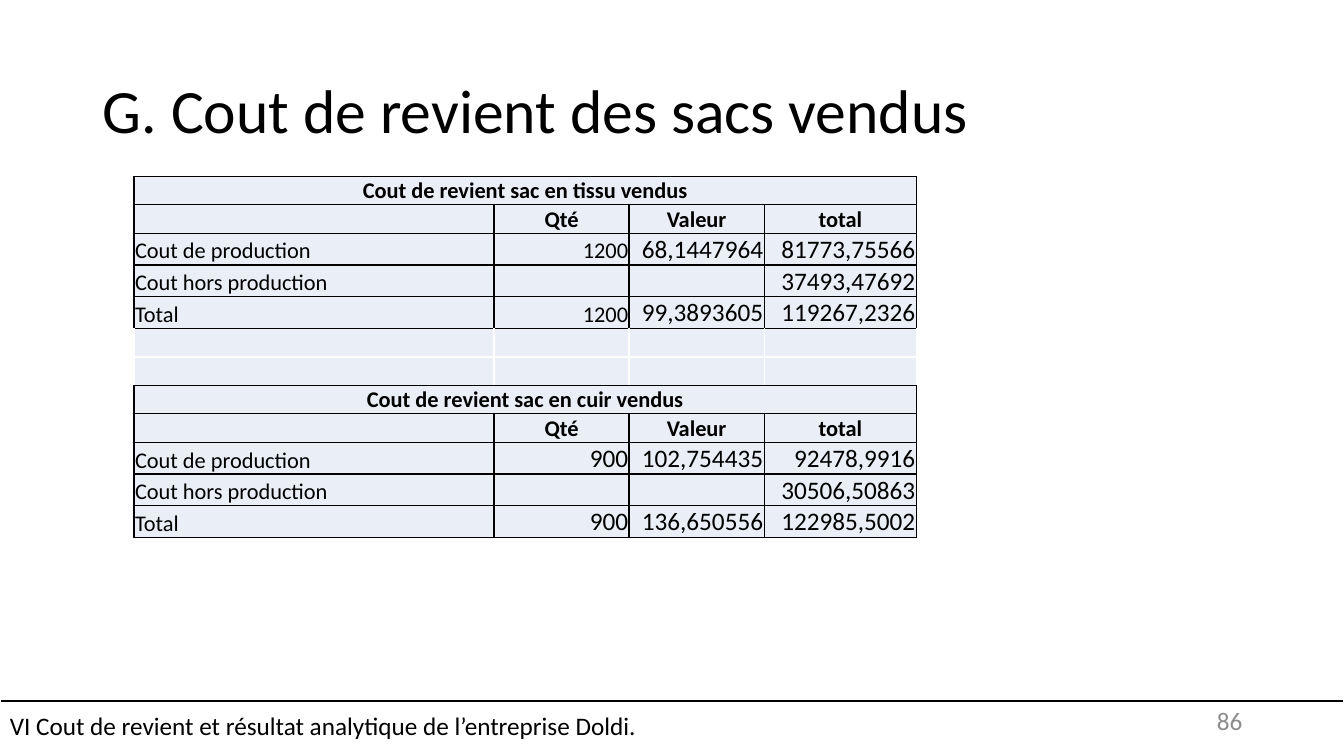
from dataclasses import dataclass

from lxml import etree
from pptx import Presentation
from pptx.dml.color import RGBColor
from pptx.enum.shapes import MSO_CONNECTOR, MSO_SHAPE
from pptx.enum.text import MSO_ANCHOR, MSO_AUTO_SIZE, PP_ALIGN
from pptx.oxml.ns import qn
from pptx.util import Inches, Pt

LEFT, CENTER, RIGHT = PP_ALIGN.LEFT, PP_ALIGN.CENTER, PP_ALIGN.RIGHT
MIDDLE, BOTTOM = MSO_ANCHOR.MIDDLE, MSO_ANCHOR.BOTTOM

# Content
TITLE = "G. Cout de revient des sacs vendus"
FOOTER = "VI Cout de revient et résultat analytique de l’entreprise Doldi."
PAGE = "86"
HEADINGS = ["", "Qté", "Valeur", "total"]
FABRIC = {
    "caption": "Cout de revient sac en tissu vendus",
    "quantity_size": 16,
    "rows": [
        ["Cout de production", "1200", "68,1447964", "81773,75566"],
        ["Cout hors production", "", "", "37493,47692"],
        ["Total", "1200", "99,3893605", "119267,2326"],
    ],
}
LEATHER = {
    "caption": "Cout de revient sac en cuir vendus",
    "quantity_size": 18,
    "rows": [
        ["Cout de production", "900", "102,754435", "92478,9916"],
        ["Cout hors production", "", "", "30506,50863"],
        ["Total", "900", "136,650556", "122985,5002"],
    ],
}
COLUMN_WIDTHS = [3.57, 1.34, 1.34, 1.51]
ROW_HEIGHT = 0.27
SPACER_ROWS = 2
BLOCK_ROWS = 2 + len(FABRIC["rows"])
ROW_COUNT = 2 * BLOCK_ROWS + SPACER_ROWS


@dataclass(frozen=True)
class Theme:
    font: str = "Calibri"
    ink: str = "000000"
    paper: str = "FFFFFF"
    cell: str = "EAEFF7"
    muted: str = "8C8C8C"
    title: int = 44
    label: int = 16
    figure: int = 18


THEME = Theme()


def write(frame, text, size=THEME.figure, color=THEME.ink, bold=False,
          align=LEFT, anchor=MIDDLE, spacing=None):
    frame.word_wrap = True
    frame.vertical_anchor = anchor
    paragraph = frame.paragraphs[0]
    paragraph.alignment = align
    if spacing:
        paragraph.line_spacing = spacing
    if not text:
        # The end mark sets the height of an empty line
        etree.SubElement(paragraph._p, qn("a:endParaRPr"), sz=str(size * 100))
        return
    run = paragraph.add_run()
    run.text = text
    run.font.name, run.font.size, run.font.bold = THEME.font, Pt(size), bold
    run.font.color.rgb = RGBColor.from_string(color)


def set_borders(cell, colors):
    properties = cell._tc.get_or_add_tcPr()
    for side in "LRTB":
        line = etree.SubElement(properties, qn(f"a:ln{side}"), w=str(Pt(1)))
        fill = etree.SubElement(line, qn("a:solidFill"))
        etree.SubElement(fill, qn("a:srgbClr"), val=colors[side])


def fill_cell(cell, text, borders, **style):
    cell.margin_left = cell.margin_right = cell.margin_top = Inches(0.01)
    cell.margin_bottom = 0
    set_borders(cell, borders)
    cell.fill.solid()
    cell.fill.fore_color.rgb = RGBColor.from_string(THEME.cell)
    write(cell.text_frame, text, anchor=BOTTOM, **style)
    cell.vertical_anchor = BOTTOM


def fill_block(table, top, block):
    borders = dict.fromkeys("LRTB", THEME.ink)
    grid = [[block["caption"], "", "", ""], HEADINGS, *block["rows"]]
    sizes = [THEME.label, block["quantity_size"], THEME.figure, THEME.figure]
    for r, row in enumerate(grid):
        for c, text in enumerate(row):
            heading = r < 2
            size = sizes[c] if text and not heading else THEME.label
            align = CENTER if heading else RIGHT if c else LEFT
            fill_cell(table.cell(top + r, c), text, borders,
                      size=size, bold=heading, align=align)
    table.cell(top, 0).merge(table.cell(top, len(HEADINGS) - 1))


def fill_spacers(table, top):
    for r in range(SPACER_ROWS):
        borders = dict.fromkeys("LRTB", THEME.paper)
        if r == 0:
            borders["T"] = THEME.ink
        if r == SPACER_ROWS - 1:
            borders["B"] = THEME.ink
        for c in range(len(HEADINGS)):
            fill_cell(table.cell(top + r, c), "", borders, size=THEME.label)


def main():
    deck = Presentation()
    deck.slide_width, deck.slide_height = Inches(13.33), Inches(7.5)
    slide = deck.slides.add_slide(deck.slide_layouts[5])
    shapes = slide.shapes

    # Footer rule
    rule = shapes.add_connector(MSO_CONNECTOR.STRAIGHT, 0, Inches(6.95),
                                Inches(13.33), Inches(6.95))
    rule.line.color.rgb = RGBColor.from_string(THEME.ink)
    rule.line.width = Pt(1.5)
    etree.SubElement(rule._element.spPr, qn("a:effectLst"))

    # Title
    title = shapes.title
    title.left, title.top = Inches(0.92), Inches(0.4)
    title.width, title.height = Inches(11.5), Inches(1.45)
    title.text_frame.auto_size = MSO_AUTO_SIZE.NONE
    write(title.text_frame, TITLE, size=THEME.title, spacing=0.9)

    # Cost table
    table = shapes.add_table(
        ROW_COUNT, len(HEADINGS), Inches(1.33), Inches(1.75),
        Inches(sum(COLUMN_WIDTHS)), Inches(ROW_COUNT * ROW_HEIGHT)).table
    table.first_row = table.horz_banding = False
    for column, width in zip(table.columns, COLUMN_WIDTHS):
        column.width = Inches(width)
    for row in table.rows:
        row.height = Inches(ROW_HEIGHT)
    fill_block(table, 0, FABRIC)
    fill_spacers(table, BLOCK_ROWS)
    fill_block(table, BLOCK_ROWS + SPACER_ROWS, LEATHER)

    # Footer and page number
    footer = shapes.add_shape(MSO_SHAPE.RECTANGLE, 0, Inches(6.9),
                              Inches(13.33), Inches(0.6))
    footer.shadow.inherit = False
    footer.fill.background()
    footer.line.color.rgb = RGBColor.from_string(THEME.paper)
    footer.line.width = Pt(1)
    write(footer.text_frame, FOOTER)
    page = shapes.add_textbox(Inches(9.42), Inches(6.95), Inches(3), Inches(0.4))
    write(page.text_frame, PAGE, color=THEME.muted, align=RIGHT)

    deck.save("out.pptx")


if __name__ == "__main__":
    main()
